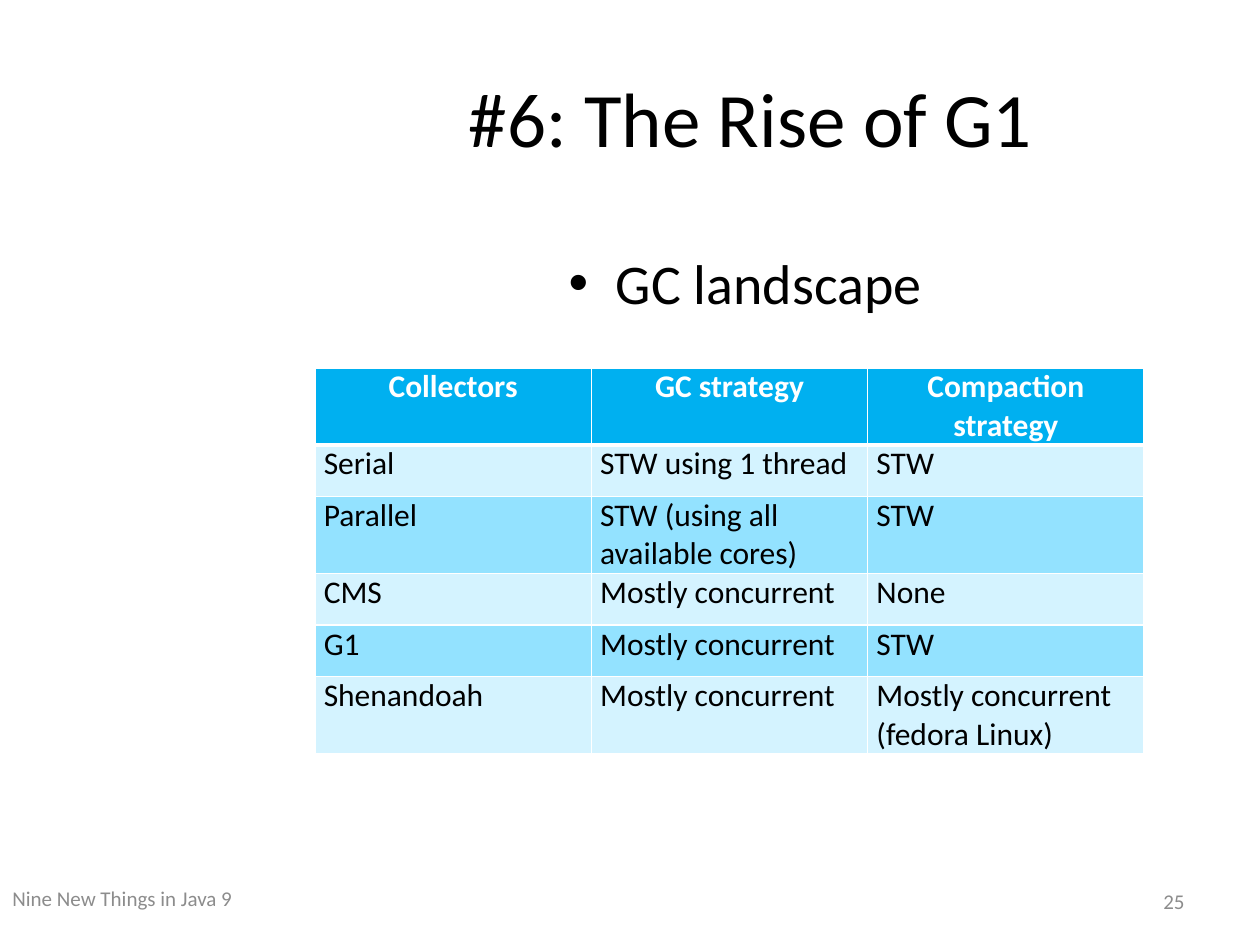
from lxml.etree import SubElement
from pptx import Presentation
from pptx.dml.color import RGBColor
from pptx.enum.text import MSO_ANCHOR, PP_ALIGN
from pptx.oxml.ns import qn
from pptx.util import Inches, Pt

ROWS = [
    ("Collectors", "GC strategy", "Compaction strategy"),
    ("Serial", "STW using 1 thread", "STW"),
    ("Parallel", "STW (using all available cores)", "STW"),
    ("CMS", "Mostly concurrent", "None"),
    ("G1", "Mostly concurrent", "STW"),
    ("Shenandoah", "Mostly concurrent", "Mostly concurrent (fedora Linux)"),
]
ROW_HEIGHTS = (0.6, 0.41, 0.6, 0.41, 0.41, 0.6)
HEADER_FILL = "00B0F0"
BAND_FILLS = ("93E2FF", "D4F3FF")


def rgb(color):
    return RGBColor.from_string(color)


def write(tf, text, size, color="000000", align=PP_ALIGN.LEFT, bold=False):
    tf.text = text
    tf.word_wrap = True
    p = tf.paragraphs[0]
    p.alignment = align
    p.space_before = Pt(0)
    font = p.runs[0].font
    font.name = "Calibri"
    font.size = Pt(size)
    font.bold = bold
    font.color.rgb = rgb(color)


def place(sp, left, top, width, height):
    sp.left, sp.top = Inches(left), Inches(top)
    sp.width, sp.height = Inches(width), Inches(height)


def add_title(s, text):
    sp = s.shapes.title
    place(sp, 1.92, 0.3, 8.08, 1.25)
    write(sp.text_frame, text, 44, align=PP_ALIGN.CENTER)
    sp.text_frame.vertical_anchor = MSO_ANCHOR.MIDDLE


def add_body(s, text):
    sp = s.placeholders[1]
    place(sp, 2.08, 1.92, 7.67, 1.18)
    tf = sp.text_frame
    pPr = tf.paragraphs[0]._p.get_or_add_pPr()
    pPr.set("marL", "0")
    pPr.set("indent", "0")
    SubElement(pPr, qn("a:buNone"))
    write(tf, text, 32, align=PP_ALIGN.CENTER)


def add_footer(s, text, left, top, width, align):
    sp = s.shapes.add_textbox(Inches(left), Inches(top), Inches(width), Inches(0.4))
    write(sp.text_frame, text, 12, "8C8C8C", align)
    sp.text_frame.vertical_anchor = MSO_ANCHOR.MIDDLE


def set_borders(cell, top, bottom):
    tcPr = cell._tc.get_or_add_tcPr()
    for side, width in (("L", 1), ("R", 1), ("T", top), ("B", bottom)):
        ln = SubElement(tcPr, qn(f"a:ln{side}"), w=str(Pt(width)))
        fill = SubElement(ln, qn("a:solidFill"))
        SubElement(fill, qn("a:srgbClr"), val="FFFFFF")


def format_cell(cell, text, row):
    header = row == 0
    set_borders(cell, 3 if row == 1 else 1, 3 if header else 1)
    cell.fill.solid()
    cell.fill.fore_color.rgb = rgb(HEADER_FILL if header else BAND_FILLS[row % 2])
    cell.margin_left = cell.margin_right = Inches(0.07)
    cell.margin_top = cell.margin_bottom = 0
    write(
        cell.text_frame,
        text,
        18,
        "FFFFFF" if header else "000000",
        PP_ALIGN.CENTER if header else PP_ALIGN.LEFT,
        header,
    )


def add_collector_table(s):
    table = s.shapes.add_table(
        len(ROWS), len(ROWS[0]), Inches(2.5), Inches(2.92),
        Inches(6.58), Inches(sum(ROW_HEIGHTS)),
    ).table
    for i, values in enumerate(ROWS):
        table.rows[i].height = Inches(ROW_HEIGHTS[i])
        for j, text in enumerate(values):
            format_cell(table.cell(i, j), text, i)


def main():
    prs = Presentation()
    prs.slide_width, prs.slide_height = Inches(10), Inches(7.5)
    s = prs.slides.add_slide(prs.slide_layouts[1])
    add_title(s, "#6: The Rise of G1")
    add_body(s, "GC landscape")
    add_collector_table(s)
    add_footer(s, "Nine New Things in Java 9", 0, 6.93, 10, PP_ALIGN.LEFT)
    add_footer(s, "25", 7.17, 6.95, 2.33, PP_ALIGN.RIGHT)
    prs.save("out.pptx")


if __name__ == "__main__":
    main()
